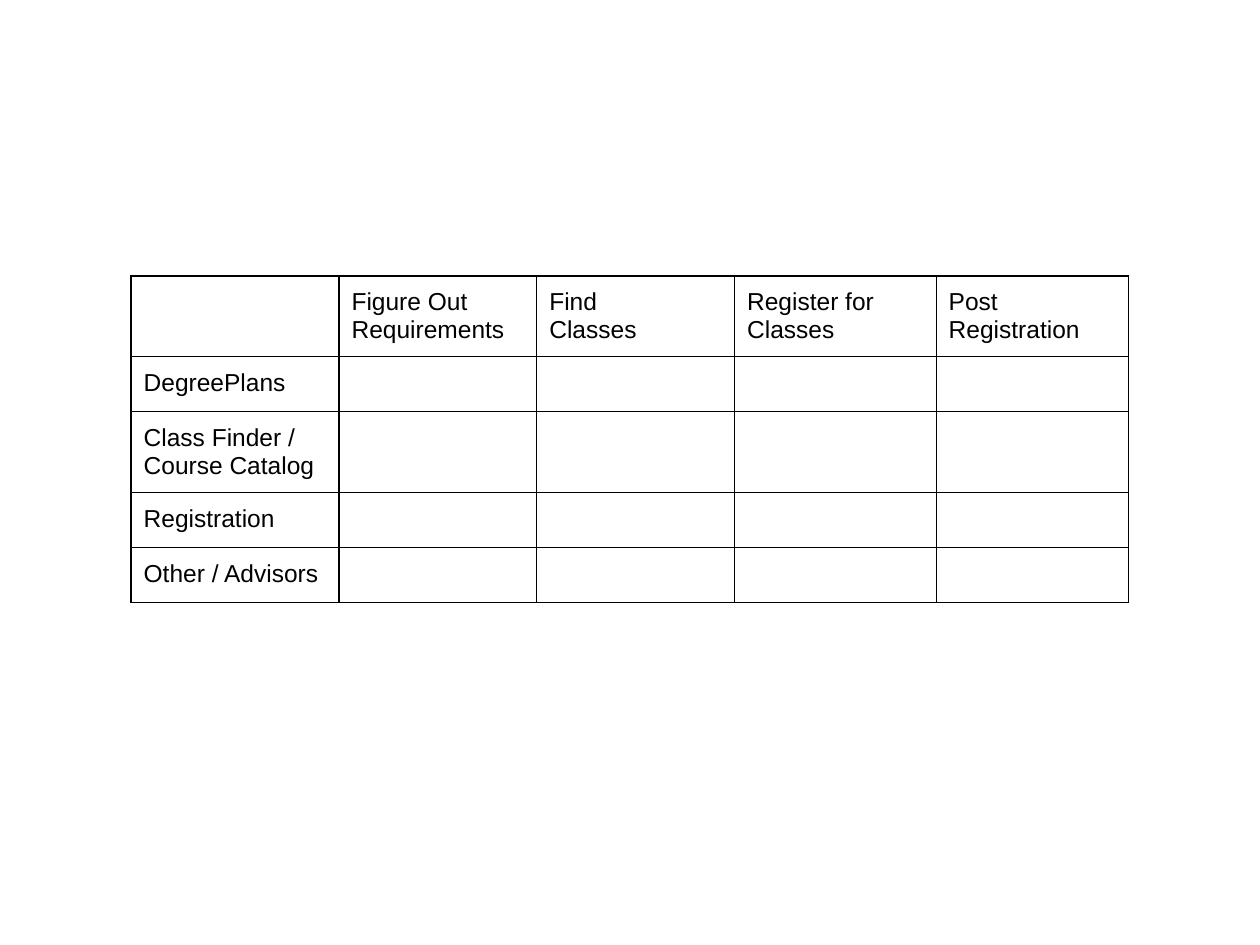
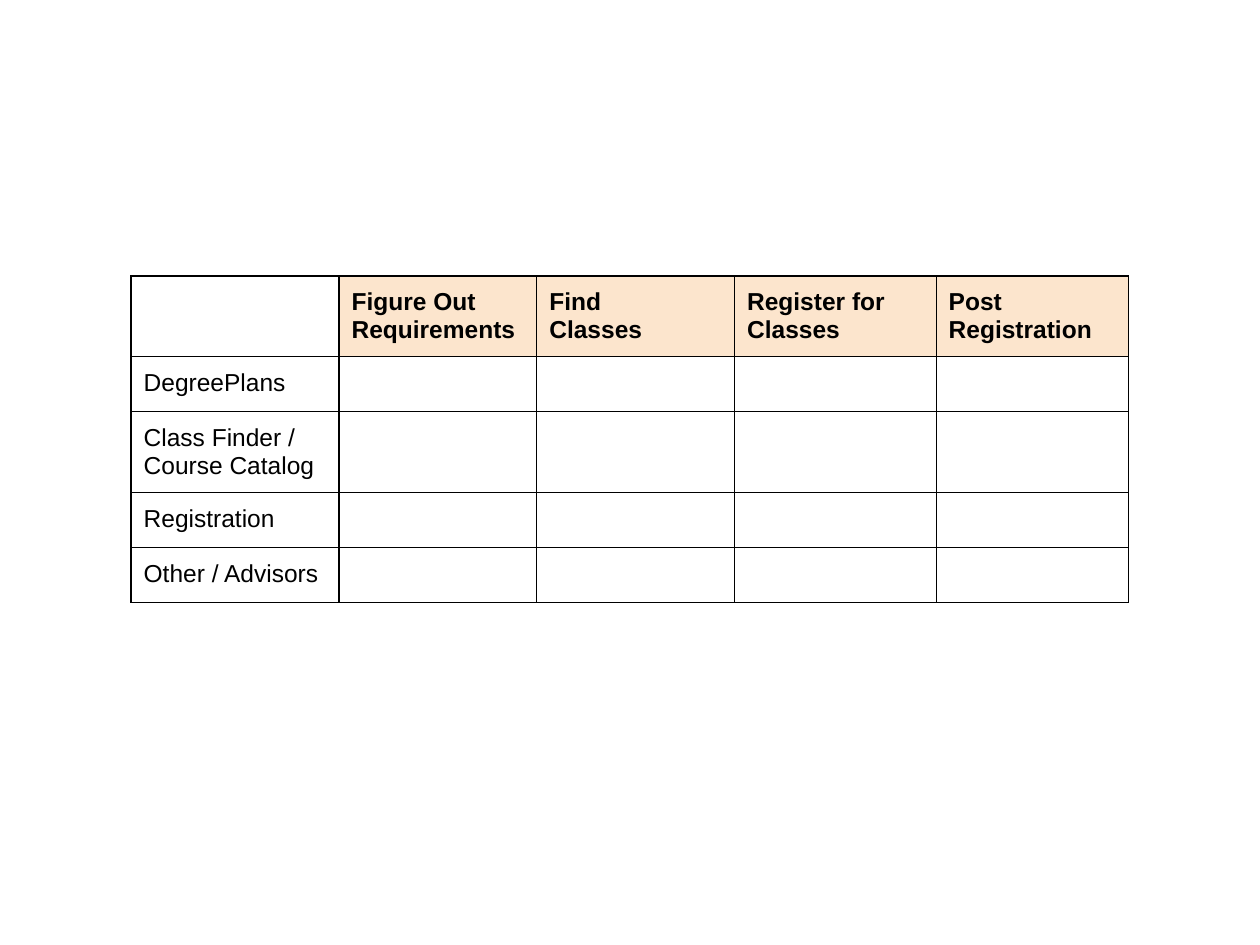
import pptx
import pptx.dml.color
import pptx.enum.text
import pptx.oxml.ns
import pptx.util
from lxml import etree

Inches = pptx.util.Inches
Pt = pptx.util.Pt

FONT = "Arial"
TEXT_SIZE = 14
INK = "000000"
HEADER_FILL = "FCE5CD"
TABLE_LEFT, TABLE_TOP = 1.04, 2.19
COL_WIDTHS = [1.65, 1.57, 1.57, 1.6, 1.53]
ONE_LINE, TWO_LINES = 0.42, 0.64
ROW_HEIGHTS = [TWO_LINES, ONE_LINE, TWO_LINES, ONE_LINE, ONE_LINE]
STEPS = [
    ["Figure Out Requirements"],
    ["Find", "Classes"],
    ["Register for Classes"],
    ["Post", "Registration"],
]
TOOLS = ["DegreePlans", "Class Finder / Course Catalog", "Registration", "Other / Advisors"]


def rgb(hex_string):
    return pptx.dml.color.RGBColor.from_string(hex_string)


def sub(parent, tag, **attrs):
    return etree.SubElement(parent, pptx.oxml.ns.qn(tag), **attrs)


def add_borders(cell, color, width):
    tcPr = cell._tc.get_or_add_tcPr()
    for side in ("L", "R", "T", "B"):
        ln = sub(tcPr, f"a:ln{side}", w=str(Pt(width)))
        sub(sub(ln, "a:solidFill"), "a:srgbClr", val=color)


def write_cell(cell, lines, bold):
    tf = cell.text_frame
    for i, line in enumerate(lines):
        p = tf.add_paragraph() if i else tf.paragraphs[0]
        r = p.add_run()
        r.text = line
        r.font.name = FONT
        r.font.size = Pt(TEXT_SIZE)
        r.font.bold = bold
        r.font.color.rgb = rgb(INK)
    if not lines:
        sub(tf.paragraphs[0]._p, "a:endParaRPr", sz=str(TEXT_SIZE * 100))


def format_cell(cell, fill):
    cell.margin_left = cell.margin_right = Inches(0.1)
    cell.margin_top = cell.margin_bottom = Inches(0.1)
    cell.vertical_anchor = pptx.enum.text.MSO_ANCHOR.TOP
    add_borders(cell, INK, 0.75)
    if fill:
        cell.fill.solid()
        cell.fill.fore_color.rgb = rgb(fill)
    else:
        cell.fill.background()


def add_matrix(slide, left, top, highlight):
    frame = slide.shapes.add_table(
        len(ROW_HEIGHTS), len(COL_WIDTHS), Inches(left), Inches(top),
        Inches(sum(COL_WIDTHS)), Inches(sum(ROW_HEIGHTS)))
    table = frame.table
    table.first_row = table.horz_banding = False
    for col, width in zip(table.columns, COL_WIDTHS):
        col.width = Inches(width)
    for row, height in zip(table.rows, ROW_HEIGHTS):
        row.height = Inches(height)

    header = [[]] + STEPS
    body = [[[tool]] + [[] for _ in STEPS] for tool in TOOLS]
    for r, row in enumerate([header] + body):
        for c, lines in enumerate(row):
            marked = highlight and r == 0 and c > 0
            cell = table.cell(r, c)
            write_cell(cell, lines, marked)
            format_cell(cell, HEADER_FILL if marked else None)


def add_matrix_slide(prs, highlight):
    slide = prs.slides.add_slide(prs.slide_layouts[6])
    add_matrix(slide, TABLE_LEFT, TABLE_TOP, highlight)


def main():
    prs = pptx.Presentation()
    prs.slide_width, prs.slide_height = Inches(10), Inches(7.5)
    for highlight in (False, True):
        add_matrix_slide(prs, highlight)
    prs.save("out.pptx")


if __name__ == "__main__":
    main()
